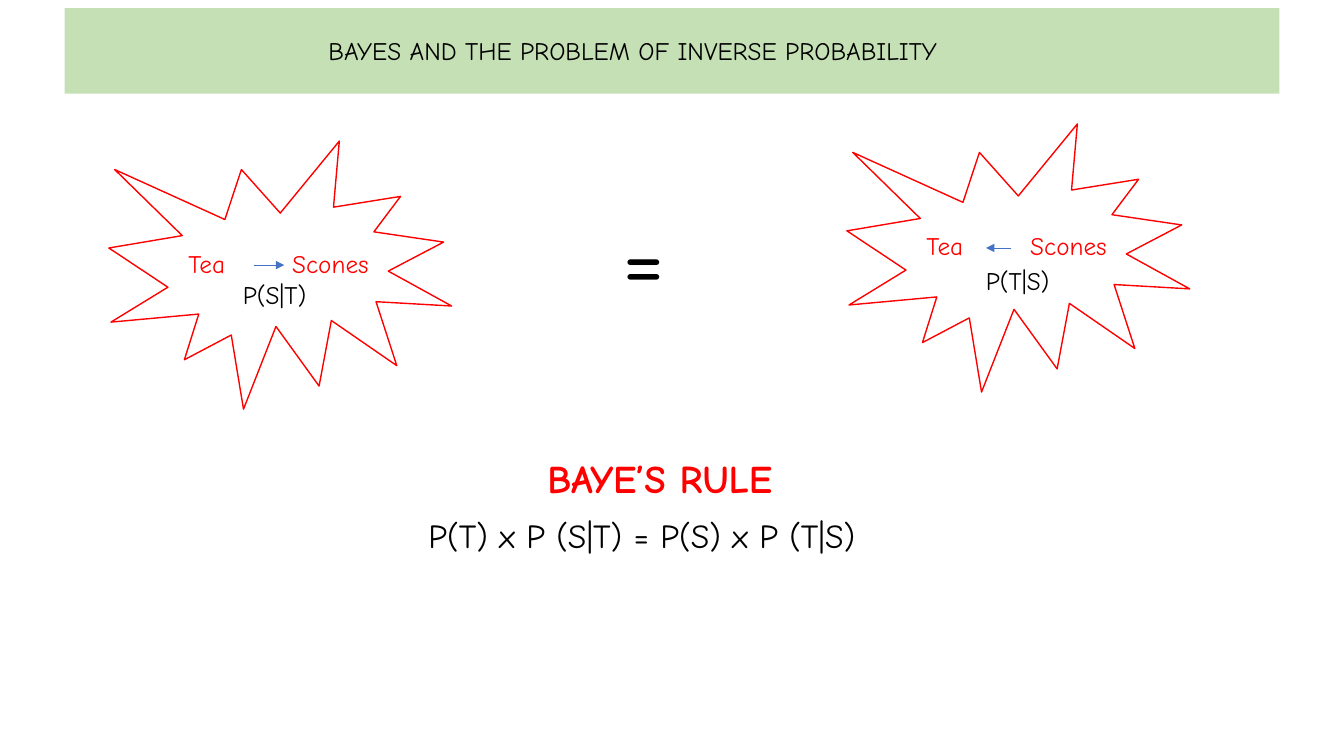
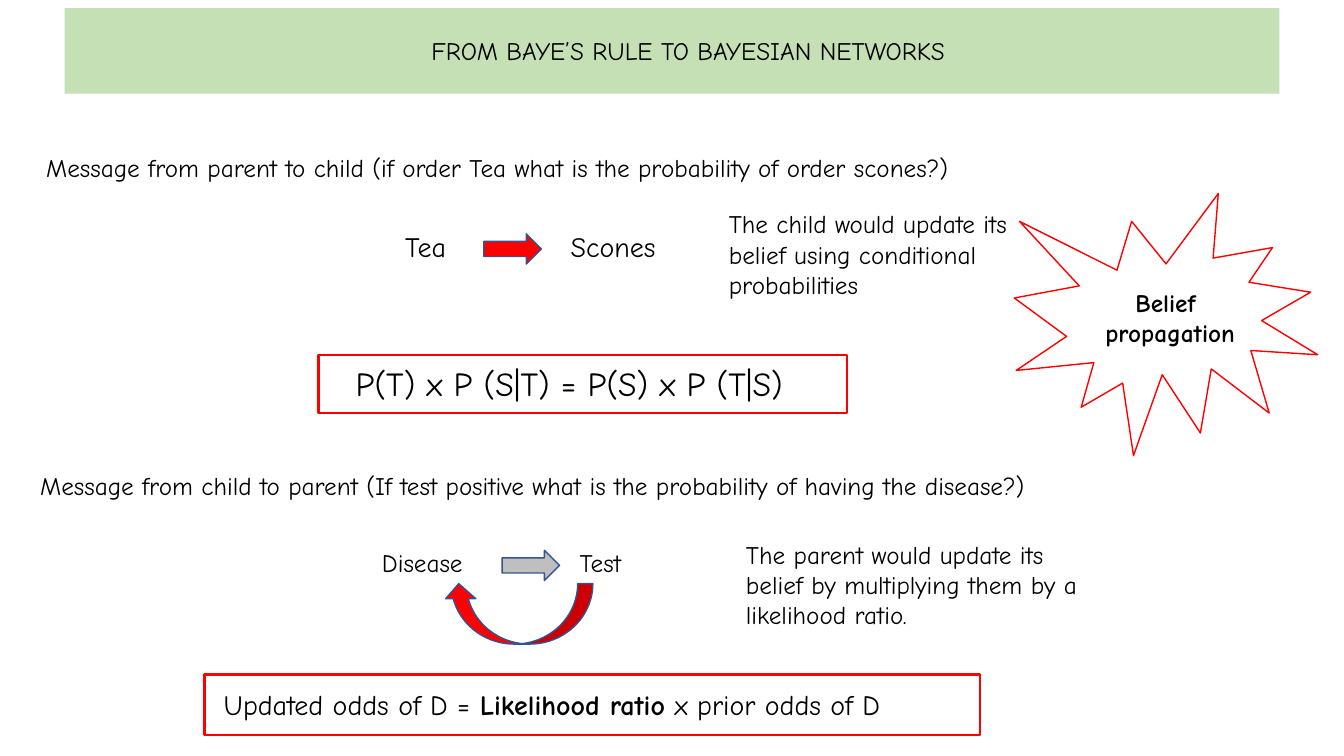
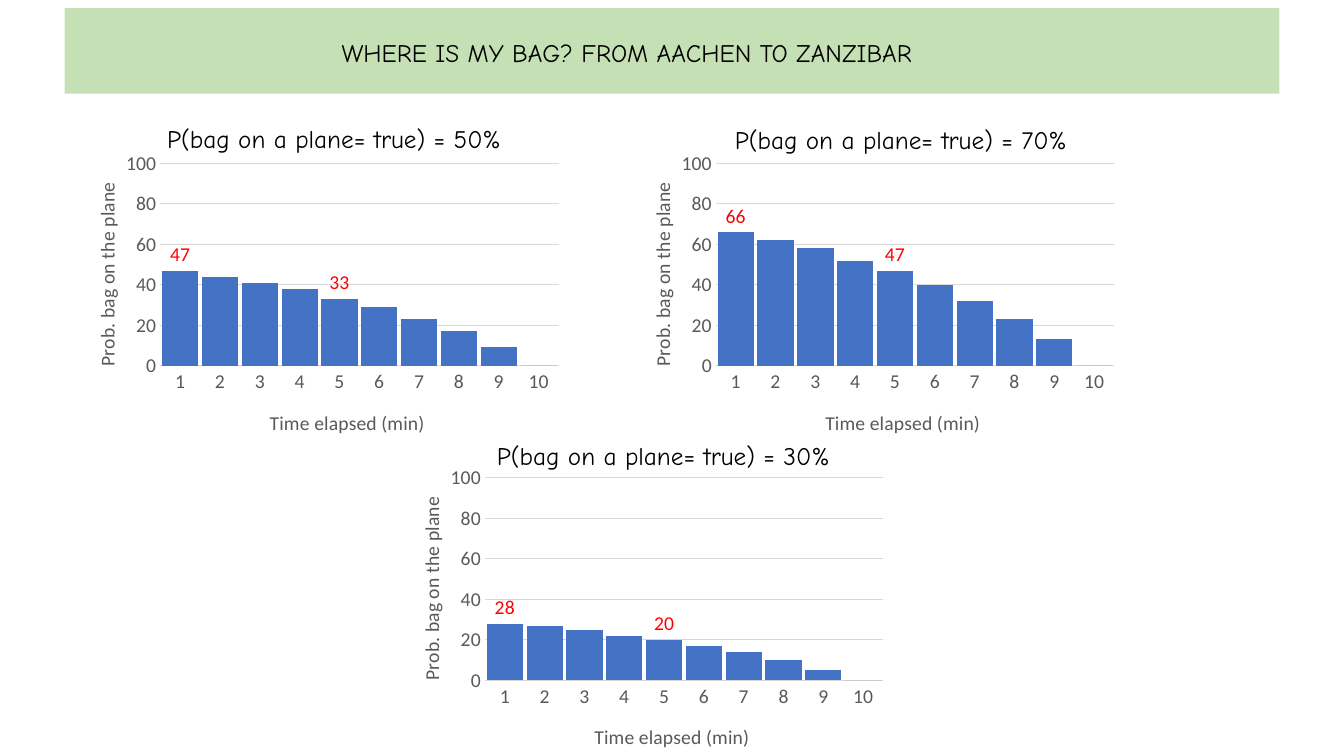
from dataclasses import dataclass

from lxml import etree
from pptx import Presentation
from pptx import util as u
from pptx.chart import data as cd
from pptx.dml.color import RGBColor
from pptx.enum import chart as ce, shapes as sh, text as te
from pptx.oxml import ns


@dataclass(frozen=True)
class Theme:
    font: str = "Comic Neue"
    plain: str = "Calibri"
    ink: str = "000000"
    red: str = "FF0000"
    blue: str = "4472C4"
    edge: str = "325491"
    band: str = "C5E0B4"
    grey: str = "BFBFBF"
    grid: str = "D9D9D9"
    axis: str = "595959"
    tick: int = 14
    body: int = 18
    mid: int = 20
    rule: int = 24
    head: int = 28
    sign: int = 66


T = Theme()
RULE = "P(T) x P (S|T) = P(S) x P (T|S)"


def rgb(tone):
    return RGBColor.from_string(tone)


def inch(*sizes):
    return [u.Inches(size) for size in sizes]


def node(base, tag, **attrs):
    return etree.SubElement(base, ns.qn(tag), attrs)


def style(font, size, tone=T.ink, bold=False, face=T.font):
    font.name, font.size, font.bold = face, u.Pt(size), bold
    font.color.rgb = rgb(tone)


def write(slide, box, lines, size=T.body, tone=T.ink, bold=False, tab=None, mid=False):
    frame = slide.shapes.add_textbox(*inch(*box)).text_frame
    frame.word_wrap = True
    frame.text = lines
    for para in frame.paragraphs:
        if tab:
            stops = node(para._p.get_or_add_pPr(), "a:tabLst")
            node(stops, "a:tab", pos=str(u.Inches(tab)), algn="l")
        if mid:
            para.alignment = te.PP_ALIGN.CENTER
        for run in para.runs:
            style(run.font, size, tone, bold)
    return frame


def draw(slide, kind, box, fill=None, line=None, width=1):
    shape = slide.shapes.add_shape(kind, *inch(*box))
    shape.shadow.inherit = False
    if fill:
        shape.fill.solid()
        shape.fill.fore_color.rgb = rgb(fill)
    else:
        shape.fill.background()
    if line:
        shape.line.color.rgb = rgb(line)
        shape.line.width = u.Pt(width)
    else:
        shape.line.fill.background()
    return shape


def frame(slide, box):
    draw(slide, sh.MSO_SHAPE.RECTANGLE, box, line=T.red, width=1.75)


def seal(slide, box):
    draw(slide, sh.MSO_SHAPE.EXPLOSION1, box, line=T.red)


def arrow(slide, x1, x2, y):
    link = slide.shapes.add_connector(sh.MSO_CONNECTOR.STRAIGHT, *inch(x1, y, x2, y))
    link.line.color.rgb = rgb(T.blue)
    link.line.width = u.Pt(0.5)
    node(link.line._get_or_add_ln(), "a:tailEnd", type="triangle")
    node(link._element.spPr, "a:effectLst")


def start(deck, title, x, y=0.3):
    slide = deck.slides.add_slide(deck.slide_layouts[6])
    draw(slide, sh.MSO_SHAPE.RECTANGLE, (0.64, 0.08, 12.05, 0.85), fill=T.band)
    write(slide, (x, y, 7, 0.4), title)
    return slide


def burst(slide, x, y, ends, prob, spot):
    seal(slide, (x, y, 3.4, 2.66))
    write(slide, (x + 0.69, y + 1.01, 2.2, 0.4), "Tea\tScones", tone=T.red, tab=1.03)
    arrow(slide, x + ends[0], x + ends[1], y + 1.23)
    write(slide, (x + spot[0], y + spot[1], 1, 0.4), prob)


def place(base, x, y, w=None, h=None):
    old = base.find(ns.qn("c:layout"))
    if old is None:
        old = etree.Element(ns.qn("c:layout"))
        text = base.find(ns.qn("c:tx"))
        if text is None:
            base.insert(0, old)
        else:
            text.addnext(old)
    for part in list(old):
        old.remove(part)
    spot = node(old, "c:manualLayout")
    if w:
        node(spot, "c:layoutTarget", val="inner")
    for tag in ("c:xMode", "c:yMode"):
        node(spot, tag, val="edge")
    for tag, val in zip("xywh", (x, y, w, h)):
        if val:
            node(spot, "c:" + tag, val=str(val))


def label(axis, words, x, y):
    para = axis.axis_title.text_frame.paragraphs[0]
    para.text = words
    style(para.runs[0].font, T.tick, T.axis, face=T.plain)
    place(axis.axis_title._element, x, y)
    style(axis.tick_labels.font, T.tick, T.axis, face=T.plain)
    axis.major_tick_mark = axis.minor_tick_mark = ce.XL_TICK_MARK.NONE


def bars(slide, x, y, prior, head):
    data = cd.CategoryChartData()
    data.categories = [str(t) for t in range(1, 11)]
    data.add_series("Series 1", [round(2 * prior * (10 - t) / (20 - t)) for t in range(1, 11)])
    chart = slide.shapes.add_chart(
        ce.XL_CHART_TYPE.COLUMN_CLUSTERED, *inch(x, y, 5, 3.04), data).chart
    chart.has_legend = chart.has_title = False
    style(chart.font, 10, face=T.plain)
    cat, val = chart.category_axis, chart.value_axis
    label(cat, "Time elapsed (min)", 0.4, 0.85)
    label(val, "Prob. bag on the plane", 0.05, 0.11)
    val.minimum_scale, val.maximum_scale, val.major_unit = 0, 100, 20
    val.format.line.fill.background()
    for line in (cat.format.line, val.major_gridlines.format.line):
        line.color.rgb = rgb(T.grid)
        line.width = u.Pt(0.75)
    plot = chart.plots[0]
    plot.gap_width, plot.vary_by_categories = 10, False
    row = plot.series[0]
    row.format.fill.solid()
    row.format.fill.fore_color.rgb = rgb(T.blue)
    row.data_labels.show_value = False
    for i in (0, 4):
        tag = row.points[i].data_label
        style(tag.font, T.tick, T.red, face=T.plain)
        tag.position = ce.XL_LABEL_POSITION.OUTSIDE_END
    place(chart._chartSpace.chart.plotArea, 0.19, 0.06, 0.79, 0.66)
    write(slide, (*head, 3.67, 0.4), f"P(bag on a plane= true) = {prior}%")


def inverse(deck):
    slide = start(deck, "BAYES AND THE PROBLEM OF INVERSE PROBABILITY", 3.16)
    burst(slide, 1.08, 1.4, (1.44, 1.74), "P(S|T)", (1.23, 1.32))
    burst(slide, 8.4, 1.23, (1.63, 1.38), "P(T|S)", (1.28, 1.35))
    write(slide, (6.08, 1.94, 0.8, 1.21), "=", T.sign)
    write(slide, (5.33, 4.46, 2.76, 0.57), "BAYE’S RULE", T.head, T.red, True)
    write(slide, (4.15, 5.06, 5.21, 0.5), RULE, T.rule)


def network(deck):
    slide = start(deck, "FROM BAYE’S RULE TO BAYESIAN NETWORKS", 4.18)
    write(slide, (0.36, 1.46, 10.19, 0.4),
          "Message from parent to child (if order Tea what is the probability of order scones?)")
    write(slide, (3.92, 2.23, 2.89, 0.44), "Tea\tScones", T.mid, tab=1.64)
    draw(slide, sh.MSO_SHAPE.RIGHT_ARROW, (4.8, 2.32, 0.57, 0.3), T.red, T.edge)
    write(slide, (7.13, 2.02, 3.01, 1.01),
          "The child would update its belief using conditional probabilities")
    frame(slide, (3.16, 3.52, 5.24, 0.58))
    write(slide, (3.43, 3.55, 5.42, 0.5), RULE, T.rule)

    write(slide, (0.3, 4.62, 11.21, 0.4),
          "Message from child to parent (If test positive what is the probability "
          "of having the disease?)")
    write(slide, (3.69, 5.38, 2.89, 0.4), "Disease\tTest", tab=1.96)
    draw(slide, sh.MSO_SHAPE.RIGHT_ARROW, (4.98, 5.46, 0.57, 0.3), T.grey, T.edge)
    back = draw(slide, sh.MSO_SHAPE.CURVED_UP_ARROW, (4.4, 5.79, 1.48, 0.6), T.red, T.edge)
    back._element.spPr.get_or_add_xfrm().set("flipH", "1")
    write(slide, (7.3, 5.3, 3.62, 1.01),
          "The parent would update its belief by multiplying them by a likelihood ratio.")
    frame(slide, (2.03, 6.69, 7.69, 0.6))
    odds = write(slide, (2.12, 6.77, 7.6, 0.44), "Updated odds of D = ", T.mid).paragraphs[0]
    for words, bold in (("Likelihood ratio", True), (" x prior odds of D", False)):
        run = odds.add_run()
        run.text = words
        style(run.font, T.mid, bold=bold)

    seal(slide, (10.06, 1.92, 3.01, 2.6))
    write(slide, (10.81, 2.8, 1.59, 0.71), "Belief \npropagation", bold=True, mid=True)


def bag(deck):
    slide = start(deck, "WHERE IS MY BAG? FROM AACHEN TO ZANZIBAR", 3.29, 0.32)
    bars(slide, 0.64, 1.44, 50, (1.56, 1.17))
    bars(slide, 6.15, 1.44, 70, (7.19, 1.18))
    bars(slide, 3.86, 4.56, 30, (4.83, 4.32))


def main():
    deck = Presentation()
    deck.slide_width, deck.slide_height = inch(13.33, 7.5)
    for build in (inverse, network, bag):
        build(deck)
    deck.save("out.pptx")


if __name__ == "__main__":
    main()
